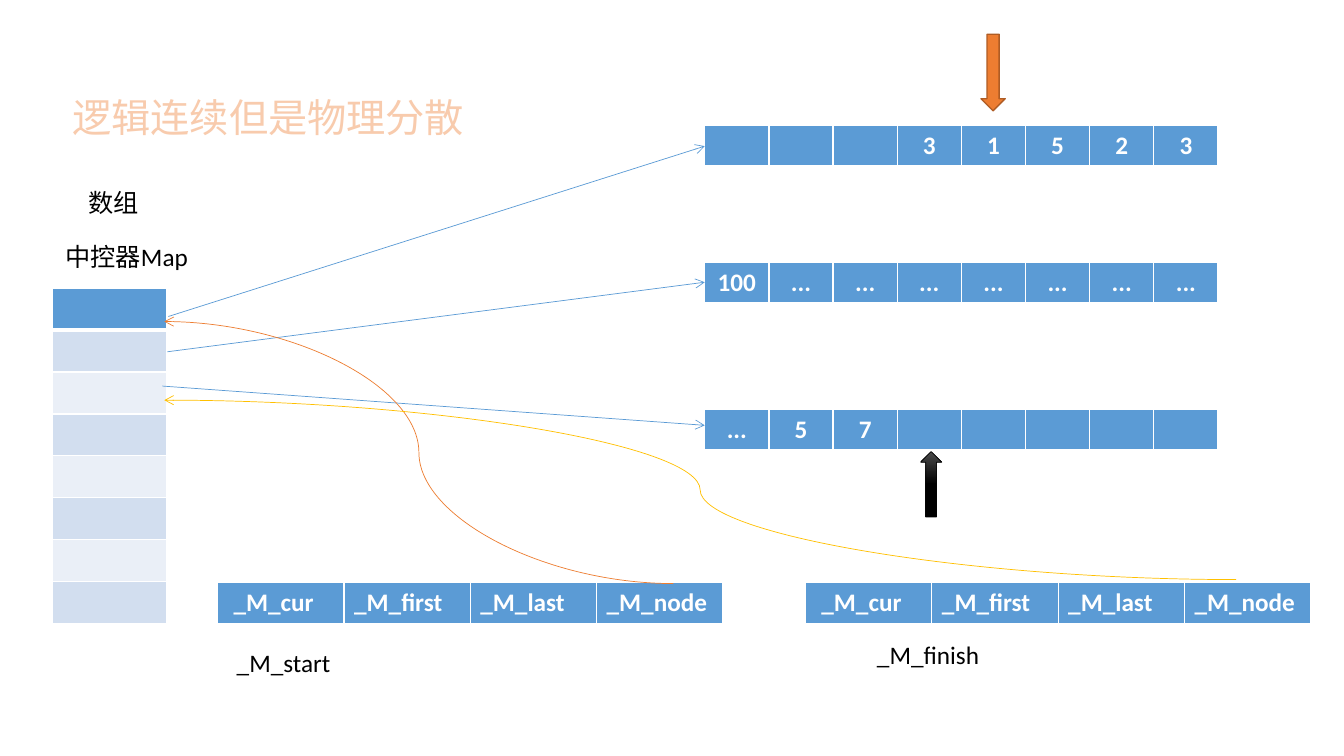
from lxml import etree
from pptx import Presentation, util as u
from pptx.dml.color import RGBColor
from pptx.enum import shapes, text
from pptx.oxml.ns import qn

FONT = "Calibri"
BLUE, ORANGE, GOLD = "5B9BD5", "ED7D31", "FFC000"
WHITE, BLACK, PEACH = "FFFFFF", "000000", "F8CBAD"
BANDS = ["D2DEEF", "EAEFF7"]
ROW_H = 0.416
CENTER = text.PP_ALIGN.CENTER
STRAIGHT, CURVE = shapes.MSO_CONNECTOR.STRAIGHT, shapes.MSO_CONNECTOR.CURVE


def rgb(value):
    return RGBColor.from_string(value)


def add_run(p, words, size, color, bold=False):
    r = p.add_run()
    r.text = words
    r.font.name, r.font.size, r.font.bold = FONT, u.Pt(size), bold
    r.font.color.rgb = rgb(color)


def label(s, box, words, size=18, color=BLACK, inset=0.1):
    sp = s.shapes.add_textbox(*map(u.Inches, box))
    tf = sp.text_frame
    tf.word_wrap = True
    tf.auto_size = text.MSO_AUTO_SIZE.SHAPE_TO_FIT_TEXT
    tf.margin_left = u.Inches(inset)
    add_run(tf.paragraphs[0], words, size, color)


def set_borders(cell, bottom):
    tc_pr = cell._tc.get_or_add_tcPr()
    for i, (side, width) in enumerate(zip("LRTB", [1, 1, 1, bottom])):
        ln = etree.Element(qn("a:ln" + side), w=str(u.Pt(width)))
        fill = etree.SubElement(ln, qn("a:solidFill"))
        etree.SubElement(fill, qn("a:srgbClr"), val=WHITE)
        tc_pr.insert(i, ln)


def grid(s, box, rows, align=None):
    """Table with a blue first row and banded rows below it."""
    left, top, width, height = box
    n_cols = len(rows[0])
    table = s.shapes.add_table(len(rows), n_cols, *map(u.Inches, box)).table
    for col in table.columns:
        col.width = u.Inches(width / n_cols)
    for i, row in enumerate(rows):
        table.rows[i].height = u.Inches(height / len(rows))
        for j, words in enumerate(row):
            cell = table.cell(i, j)
            cell.fill.solid()
            cell.fill.fore_color.rgb = rgb(BANDS[(i - 1) % 2] if i else BLUE)
            set_borders(cell, 1 if i else 3)
            if words:
                p = cell.text_frame.paragraphs[0]
                p.alignment = align
                add_run(p, words, 18, WHITE, True)


def pointer(s, kind, start, end, color):
    c = s.shapes.add_connector(kind, *map(u.Inches, start + end))
    c.line.color.rgb = rgb(color)
    c.line.width = u.Pt(0.5)
    etree.SubElement(c.line._get_or_add_ln(), qn("a:tailEnd"), type="arrow")
    etree.SubElement(c._element.spPr, qn("a:effectLst"))


def block_arrow(s, kind, box, line, width):
    sp = s.shapes.add_shape(kind, *map(u.Inches, box))
    sp.shadow.inherit = False
    sp.line.color.rgb = rgb(line)
    sp.line.width = u.Pt(width)
    return sp


def buffers(s, left, width):
    """Three data buffers with the start and finish markers."""
    dots = "..."
    rows = {1.24: ["", "", "", "3", "1", "5", "2", "3"],
            2.6: ["100"] + [dots] * 7,
            4.06: [dots, "5", "7"] + [""] * 5}
    for top, row in rows.items():
        grid(s, (left, top, width, ROW_H), [row], CENTER)

    start = block_arrow(s, shapes.MSO_SHAPE.DOWN_ARROW,
                        (left + 2.74, 0.34, 0.24, 0.76), "AF5C24", 1)
    start.fill.solid()
    start.fill.fore_color.rgb = rgb(ORANGE)

    finish = block_arrow(s, shapes.MSO_SHAPE.UP_ARROW,
                         (left + 2.14, 4.48, 0.21, 0.65), BLACK, 0.5)
    finish.fill.gradient()
    finish.fill.gradient_angle = 270
    for stop, pos, color in zip(finish.fill.gradient_stops, [0, 0.5], ["4B4B4B", BLACK]):
        stop.position, stop.color.rgb = pos, rgb(color)


def map_column(s, left, top):
    """Central map with its captions."""
    label(s, (left + 0.03, top - 0.52, 2.09, 0.4), "中控器Map")
    label(s, (left + 0.03, top - 1.05, 1.16, 0.4), "数组", inset=0.33)
    grid(s, (left, top, 1.13, 8 * ROW_H), [[""]] * 8)


def iterator(s, left, top, name, dx, dy):
    """Four iterator fields with the iterator name below."""
    fields = [" _M_cur", "_M_first", "_M_last", "_M_node"]
    grid(s, (left, top, 5.01, ROW_H), [fields])
    label(s, (left + dx, top + dy, 1.26, 0.4), name)


def links(s):
    """Map slots to buffers, then iterator nodes back to the map."""
    for start, y in [((1.67, 3.14), 1.45), ((1.66, 3.49), 2.8), ((1.61, 3.83), 4.22)]:
        pointer(s, STRAIGHT, start, (6.99, y), BLUE)
    pointer(s, CURVE, (6.68, 5.79), (1.63, 3.19), ORANGE)
    pointer(s, CURVE, (12.26, 5.75), (1.63, 3.97), GOLD)


prs = Presentation()
prs.slide_width, prs.slide_height = u.Inches(13.33), u.Inches(7.5)
s = prs.slides.add_slide(prs.slide_layouts[6])

buffers(s, 6.99, 5.09)
label(s, (0.62, 0.88, 4.52, 0.57), "逻辑连续但是物理分散", 28, PEACH)
map_column(s, 0.52, 2.86)
iterator(s, 2.16, 5.78, "_M_start", 0.09, 0.59)
iterator(s, 7.99, 5.78, "_M_finish", 0.61, 0.51)
links(s)

prs.save("out.pptx")
